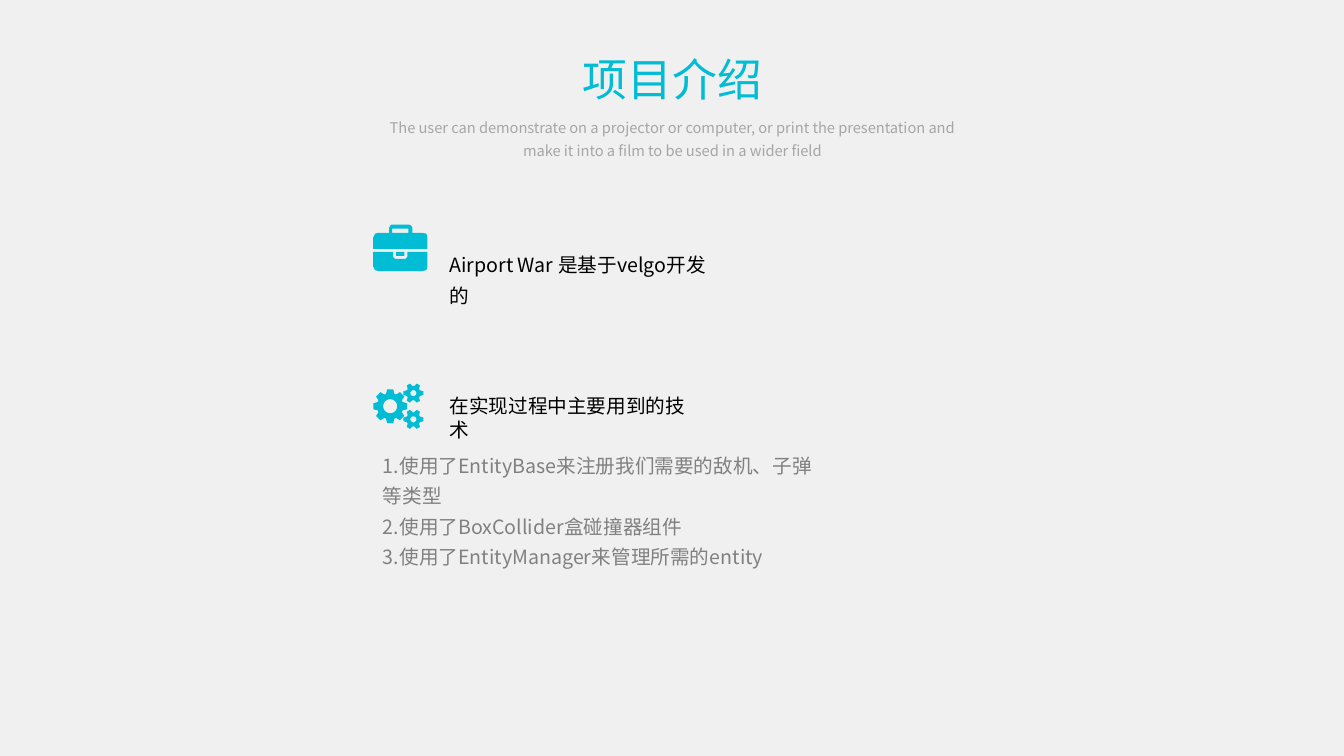
from dataclasses import dataclass
from math import cos, pi, sin

from lxml import etree
from pptx import Presentation
from pptx.dml.color import RGBColor
from pptx.enum.text import MSO_ANCHOR, MSO_AUTO_SIZE, PP_ALIGN
from pptx.oxml.ns import qn
from pptx.util import Inches, Pt

LEFT, CENTER = PP_ALIGN.LEFT, PP_ALIGN.CENTER
TOP = MSO_ANCHOR.TOP
FIXED_SIZE = MSO_AUTO_SIZE.NONE


@dataclass(frozen=True)
class Theme:
    font: str = "Noto Sans CJK SC"
    background: str = "F0F0F0"
    accent: str = "00BCD4"
    caption: str = "A6A6A6"
    heading: str = "000000"
    body: str = "808080"
    title_size: float = 32
    caption_size: float = 10.5
    body_size: float = 14
    line_height: float = 1.2


THEME = Theme()

TITLE = "项目介绍"
SUBTITLE = (
    "The user can demonstrate on a projector or computer, or print the "
    "presentation and make it into a film to be used in a wider field"
)
ENGINE_HEADING = "Airport War 是基于velgo开发的"
TECHNIQUE_HEADING = "在实现过程中主要用到的技术"
TECHNIQUES = [
    "1.使用了EntityBase来注册我们需要的敌机、子弹等类型",
    "2.使用了BoxCollider盒碰撞器组件",
    "3.使用了EntityManager来管理所需的entity",
]

BRIEFCASE = [
    # lid and handle
    [(4.24, 2.47), (3.7, 2.47), (3.7, 2.36), (3.72, 2.32), (3.75, 2.31),
     (3.86, 2.31), (3.86, 2.26), (3.87, 2.24), (3.88, 2.23), (4.06, 2.23),
     (4.08, 2.24), (4.09, 2.26), (4.09, 2.31), (4.19, 2.31), (4.23, 2.32),
     (4.24, 2.36)],
    # handle opening
    [(3.89, 2.31), (4.05, 2.31), (4.05, 2.27), (3.89, 2.27)],
    # lower half
    [(4.24, 2.5), (4.24, 2.64), (4.23, 2.68), (4.19, 2.69), (3.75, 2.69),
     (3.72, 2.68), (3.7, 2.64), (3.7, 2.5), (3.9, 2.5), (3.9, 2.55),
     (3.92, 2.57), (4.02, 2.57), (4.04, 2.55), (4.04, 2.5)],
    # clasp
    [(4.01, 2.5), (4.01, 2.54), (3.93, 2.54), (3.93, 2.5)],
]

# centre x, centre y, teeth, tip radius, root radius, hole radius, root half-angle
GEARS = [
    (3.87, 4.03, 8, 0.17, 0.13, 0.07, 0.32),
    (4.1, 3.9, 6, 0.1, 0.07, 0.03, 0.42),
    (4.1, 4.16, 6, 0.1, 0.07, 0.03, 0.42),
]
TIP_HALF_ANGLE = 0.18
HOLE_POINTS = 24


def polar(x, y, radius, angle):
    return x + radius * cos(angle), y + radius * sin(angle)


def gear_contours(x, y, teeth, tip, root, hole, root_half_angle):
    """Return the toothed rim and the round hole as two point lists."""
    tooth = [(root, -root_half_angle), (tip, -TIP_HALF_ANGLE),
             (tip, TIP_HALF_ANGLE), (root, root_half_angle)]
    rim = [polar(x, y, radius, 2 * pi * index / teeth + offset)
           for index in range(teeth) for radius, offset in tooth]
    opening = [polar(x, y, hole, -2 * pi * index / HOLE_POINTS)
               for index in range(HOLE_POINTS)]
    return [rim, opening]


def add_icon(slide, contours):
    """Draw closed contours as one shape; inner contours become holes."""
    outlines = [[(Inches(x), Inches(y)) for x, y in points] for points in contours]
    builder = slide.shapes.build_freeform(*outlines[0][0], scale=1.0)
    for index, outline in enumerate(outlines):
        if index:
            builder.move_to(*outline[0])
        builder.add_line_segments(outline[1:], close=True)
    shape = builder.convert_to_shape()
    shape.shadow.inherit = False
    shape.fill.solid()
    shape.fill.fore_color.rgb = RGBColor.from_string(THEME.accent)
    shape.line.fill.background()


def write_text(shape, lines, *, box, size, color, align=LEFT, spacing=1.0):
    shape.left, shape.top, shape.width, shape.height = map(Inches, box)
    frame = shape.text_frame
    frame.word_wrap = True
    frame.auto_size = FIXED_SIZE
    frame.vertical_anchor = TOP
    for index, line in enumerate(lines):
        paragraph = frame.add_paragraph() if index else frame.paragraphs[0]
        paragraph.alignment = align
        paragraph.line_spacing = Pt(size * THEME.line_height * spacing)
        run = paragraph.add_run()
        run.text = line
        run.font.size = Pt(size)
        run.font.color.rgb = RGBColor.from_string(color)
        run.font.name = THEME.font
        east_asian = etree.SubElement(run.font._element, qn("a:ea"))
        east_asian.set("typeface", THEME.font)


def add_text(slide, lines, **text_format):
    shape = slide.shapes.add_textbox(0, 0, 0, 0)
    write_text(shape, lines, **text_format)


def main():
    presentation = Presentation()
    presentation.slide_width = Inches(13.33)
    presentation.slide_height = Inches(7.5)
    slide = presentation.slides.add_slide(presentation.slide_layouts[5])
    slide.background.fill.solid()
    slide.background.fill.fore_color.rgb = RGBColor.from_string(THEME.background)

    write_text(slide.shapes.title, [TITLE], box=(5.67, 0.46, 2, 0.64),
               size=THEME.title_size, color=THEME.accent, align=CENTER)
    add_text(slide, [SUBTITLE], box=(3.71, 1.09, 5.92, 0.54),
             size=THEME.caption_size, color=THEME.caption, align=CENTER, spacing=1.25)

    add_icon(slide, BRIEFCASE)
    add_text(slide, [ENGINE_HEADING], box=(4.36, 2.39, 2.82, 0.41),
             size=THEME.body_size, color=THEME.heading, spacing=1.3)

    add_icon(slide, [contour for gear in GEARS for contour in gear_contours(*gear)])
    add_text(slide, [TECHNIQUE_HEADING], box=(4.36, 3.86, 2.72, 0.34),
             size=THEME.body_size, color=THEME.heading)
    add_text(slide, TECHNIQUES, box=(3.7, 4.38, 4.62, 1.32),
             size=THEME.body_size, color=THEME.body, spacing=1.3)

    presentation.save("out.pptx")


if __name__ == "__main__":
    main()
